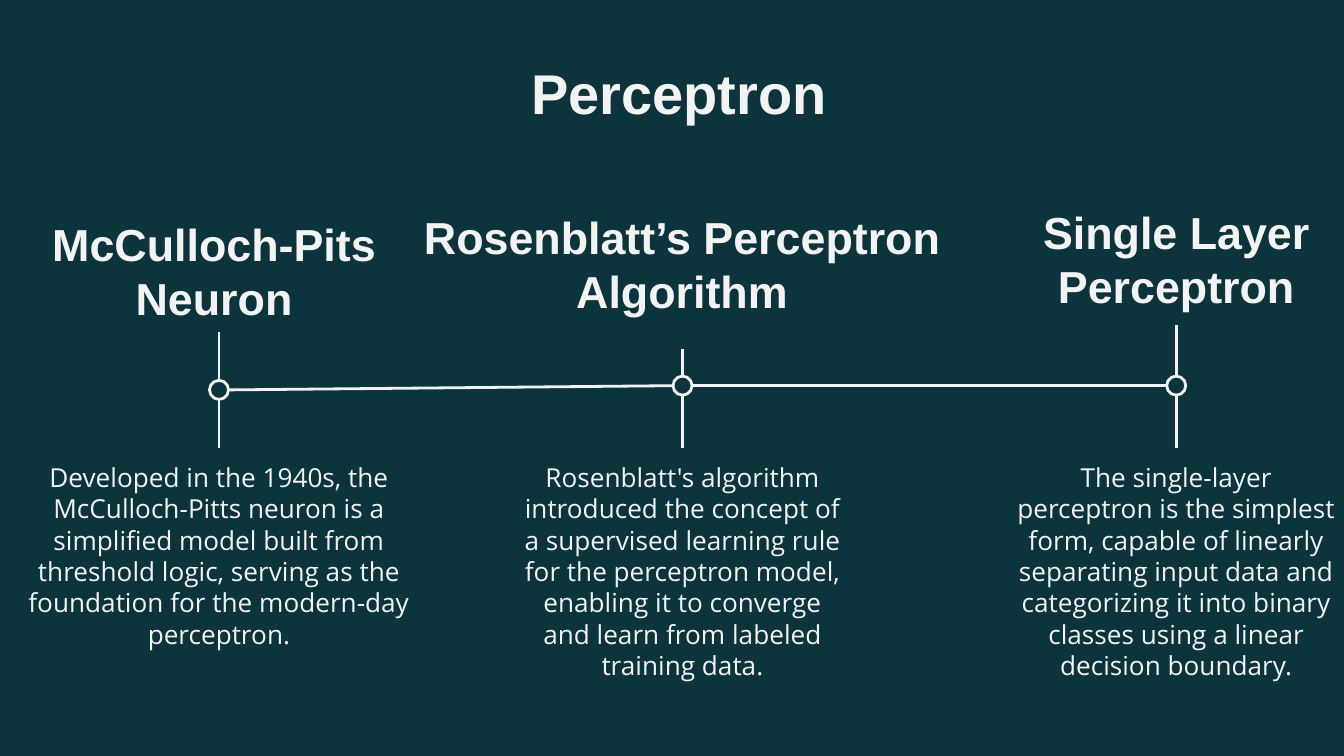
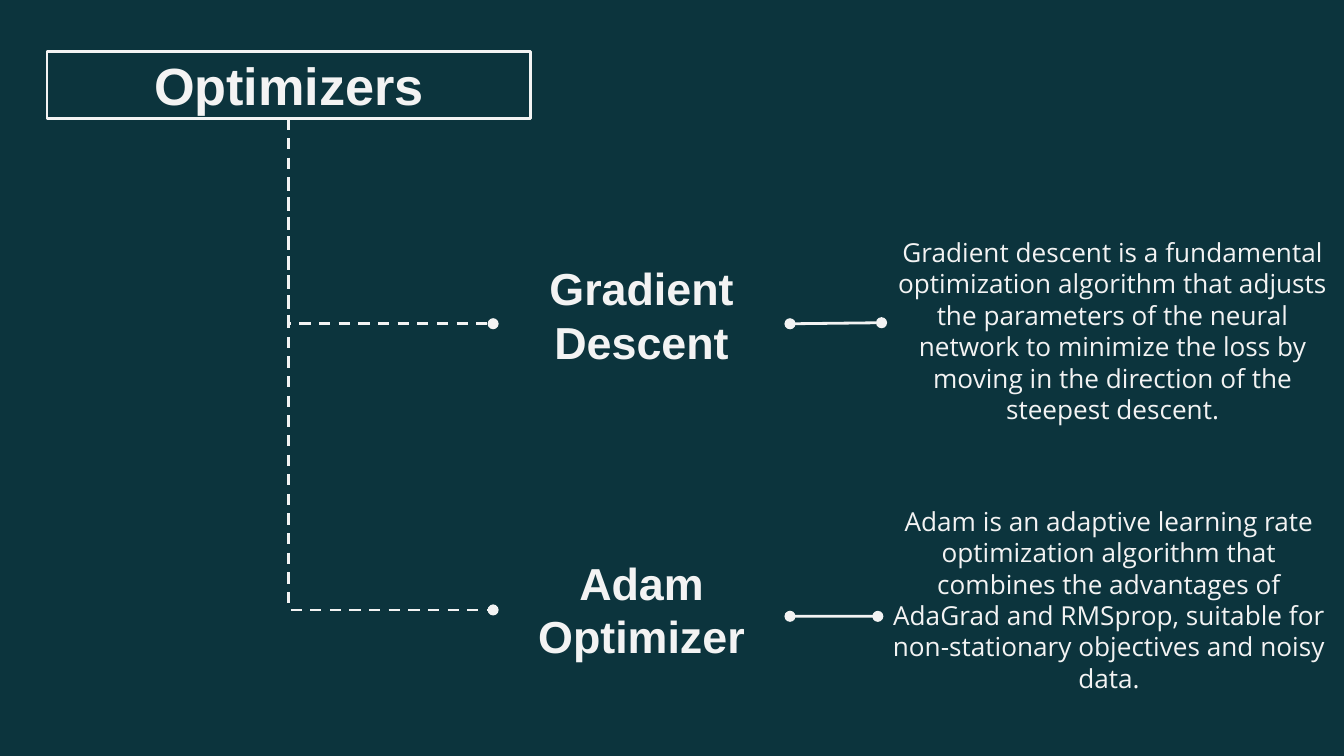
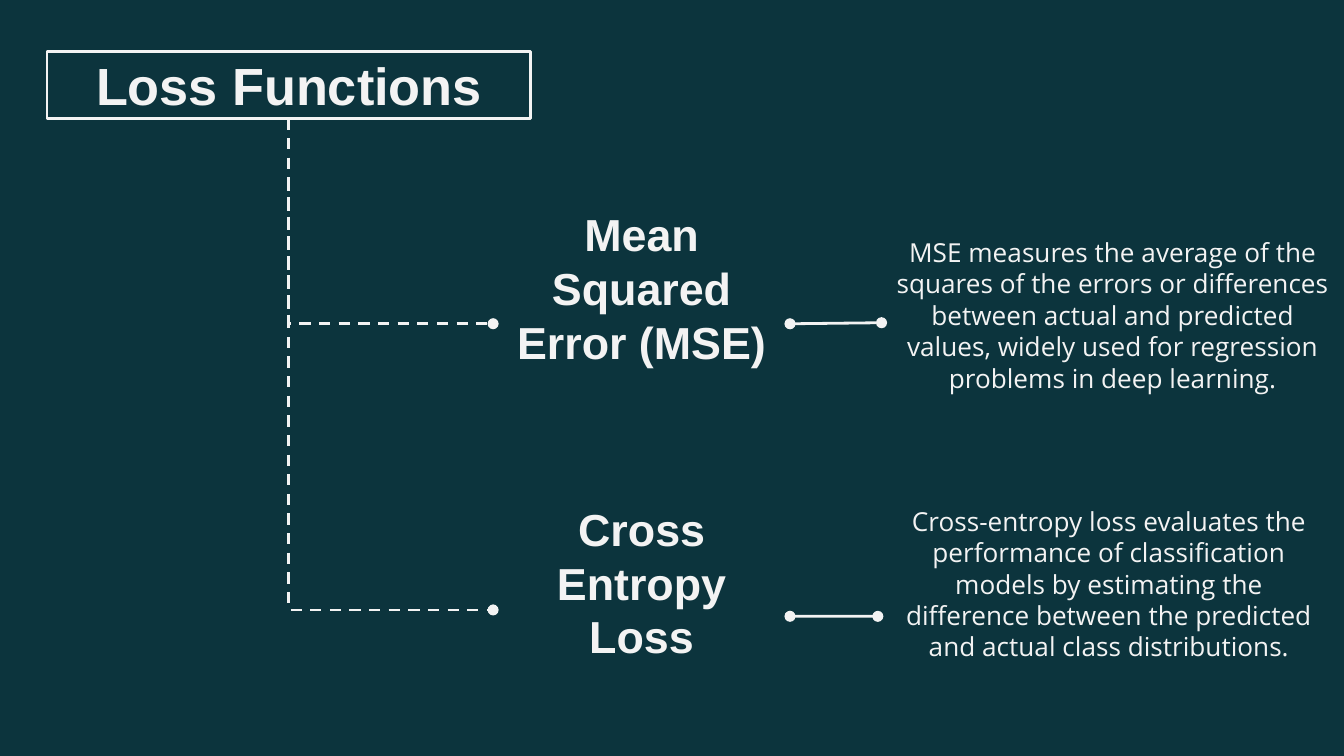
from pptx import Presentation
from pptx.dml.color import RGBColor
from pptx.enum.dml import MSO_LINE
from pptx.enum.shapes import MSO_CONNECTOR, MSO_SHAPE
from pptx.enum.text import MSO_ANCHOR, MSO_AUTO_SIZE, PP_ALIGN
from pptx.oxml.ns import qn
from pptx.util import Cm, Pt
from lxml import etree

STRAIGHT, ELBOW = MSO_CONNECTOR.STRAIGHT, MSO_CONNECTOR.ELBOW
OVAL = MSO_SHAPE.OVAL
TOP, MIDDLE, BOTTOM = MSO_ANCHOR.TOP, MSO_ANCHOR.MIDDLE, MSO_ANCHOR.BOTTOM
CENTER = PP_ALIGN.CENTER
DASH = MSO_LINE.DASH
NO_AUTOFIT = MSO_AUTO_SIZE.NONE
TOP_SIDE, LEFT_SIDE, BOTTOM_SIDE, RIGHT_SIDE = range(4)

COLORS = {"background": "0C343D", "light": "F3F3F3"}
HEADING_FONT, BODY_FONT = "Arial", "Open Sans"
LINE_WIDTH = 1.5
LINE_SPACING = 1.2
INSET = 0.25
TITLE_ONLY_LAYOUT = 5

# Timeline
NODE_SIZE = 0.36
DESCRIPTION_TOP = 8.47
STATIONS = [
    {
        "x": 4.14, "y": 7.37, "stem_top": 6.27,
        "label": "McCulloch-Pits Neuron",
        "label_area": (-0.69, 5.11, 9.47, 1.27),
        "description": "Developed in the 1940s, the McCulloch-Pitts neuron is a simplified "
                       "model built from threshold logic, serving as the foundation for the "
                       "modern-day perceptron.",
        "description_size": (8.64, 4.17),
    },
    {
        "x": 12.9, "y": 7.29, "stem_top": 6.6,
        "label": "Rosenblatt’s Perceptron Algorithm",
        "label_area": (7.62, 3.94, 10.54, 2.31),
        "description": "Rosenblatt's algorithm introduced the concept of a supervised "
                       "learning rule for the perceptron model, enabling it to converge and "
                       "learn from labeled training data.",
        "description_size": (6.48, 7.29),
    },
    {
        "x": 22.23, "y": 7.29, "stem_top": None,
        "label": "Single Layer Perceptron",
        "label_area": (18.14, 4.55, 8.18, 1.6),
        "description": "The single-layer perceptron is the simplest form, capable of linearly "
                       "separating input data and categorizing it into binary classes using "
                       "a linear decision boundary.",
        "description_size": (6.71, 6.58),
    },
]

# Trees
ROOT_AREA = (0.89, 0.97, 9.14, 1.27)
ROOT_X = ROOT_AREA[0] + ROOT_AREA[2] / 2
ROOT_BOTTOM = ROOT_AREA[1] + ROOT_AREA[3]
BRANCHES = [
    {"start_y": ROOT_BOTTOM, "end_y": 6.12, "label_area": (9.32, 5.03, 5.61, 2.18),
     "description_area": (16.66, 4.22, 8.74, 4.72), "link_end_y": 6.1},
    {"start_y": 3.4, "end_y": 11.53, "label_area": (9.32, 10.52, 5.61, 2.26),
     "description_area": (16.59, 9.3, 8.74, 4.7), "link_end_y": None},
]
OPTIMIZERS = [
    ("Gradient Descent",
     "Gradient descent is a fundamental optimization algorithm that adjusts the parameters of "
     "the neural network to minimize the loss by moving in the direction of the steepest "
     "descent."),
    ("Adam Optimizer",
     "Adam is an adaptive learning rate optimization algorithm that combines the advantages of "
     "AdaGrad and RMSprop, suitable for non-stationary objectives and noisy data."),
]
LOSS_FUNCTIONS = [
    ("Mean Squared Error (MSE)",
     "MSE measures the average of the squares of the errors or differences between actual and "
     "predicted values, widely used for regression problems in deep learning."),
    ("Cross Entropy Loss",
     "Cross-entropy loss evaluates the performance of classification models by estimating the "
     "difference between the predicted and actual class distributions."),
]


def color(name):
    return RGBColor.from_string(COLORS[name])


def write_text(box, text, *, size, font=HEADING_FONT, bold=True, anchor=TOP):
    frame = box.text_frame
    frame.word_wrap = True
    frame.auto_size = NO_AUTOFIT
    frame.vertical_anchor = anchor
    frame.margin_left = frame.margin_right = Cm(INSET)
    frame.margin_top = frame.margin_bottom = Cm(INSET)
    para = frame.paragraphs[0]
    para.alignment = CENTER
    para.line_spacing = Pt(size * LINE_SPACING)
    span = para.add_run()
    span.text = text
    span.font.size = Pt(size)
    span.font.name = font
    span.font.bold = bold
    span.font.color.rgb = color("light")


def draw_outline(item):
    item.line.color.rgb = color("light")
    item.line.width = Pt(LINE_WIDTH)


def add_title_slide(deck, title, area, *, size, anchor=TOP):
    """Add a slide with a placed title; return the slide and its title box."""
    page = deck.slides.add_slide(deck.slide_layouts[TITLE_ONLY_LAYOUT])
    box = page.shapes.title
    box.left, box.top, box.width, box.height = map(Cm, area)
    write_text(box, title, size=size, anchor=anchor)
    return page, box


def add_label(shapes, text, area):
    box = shapes.add_textbox(*map(Cm, area))
    write_text(box, text, size=24, anchor=BOTTOM)
    return box


def add_description(shapes, text, area):
    box = shapes.add_textbox(*map(Cm, area))
    write_text(box, text, size=14, font=BODY_FONT, bold=False)
    return box


def finish_connector(connector, *, dash=None, ends=()):
    """Style a connector; ends holds headEnd and tailEnd where a dot is wanted."""
    draw_outline(connector)
    if dash:
        connector.line.dash_style = dash
    properties = connector._element.spPr
    outline = properties.find(qn("a:ln"))
    for end in ends:
        etree.SubElement(outline, qn(f"a:{end}"), type="oval")
    etree.SubElement(properties, qn("a:effectLst"))


def add_line(page, start, end, ends=()):
    connector = page.shapes.add_connector(STRAIGHT, *map(Cm, start + end))
    finish_connector(connector, ends=ends)
    return connector


def add_branch(page, start, end):
    """Draw a dashed elbow that runs down, then right to a dot."""
    run, drop = end[0] - start[0], end[1] - start[1]
    left = (start[0] + end[0] - drop) / 2
    top = (start[1] + end[1] - run) / 2
    connector = page.shapes.add_connector(
        ELBOW, *map(Cm, (left, top, left + drop, top + run)))
    properties = connector._element.spPr
    frame = properties.find(qn("a:xfrm"))
    frame.set("rot", "16200000")
    frame.set("flipH", "1")
    properties.find(qn("a:prstGeom")).set("prst", "bentConnector2")
    finish_connector(connector, dash=DASH, ends=("tailEnd",))


def add_node(page, x, y):
    radius = NODE_SIZE / 2
    node = page.shapes.add_shape(
        OVAL, *map(Cm, (x - radius, y - radius, NODE_SIZE, NODE_SIZE)))
    node.shadow.inherit = False
    node.fill.background()
    draw_outline(node)


def add_station(page, station):
    x, y = station["x"], station["y"]
    width, height = station["description_size"]
    radius = NODE_SIZE / 2
    add_node(page, x, y)
    group = page.shapes.add_group_shape()
    description = add_description(group.shapes, station["description"],
                                  (x - width / 2, DESCRIPTION_TOP, width, height))
    label = add_label(group.shapes, station["label"], station["label_area"])

    lower_stem = add_line(page, (x, y + radius), (x, DESCRIPTION_TOP))
    lower_stem.end_connect(description, TOP_SIDE)
    stem_top = station["stem_top"]
    upper_stem = add_line(page, (x, y - radius), (x, stem_top or y))
    if stem_top is None:
        upper_stem.end_connect(label, BOTTOM_SIDE)


def add_timeline_slide(deck):
    page, _ = add_title_slide(deck, "Perceptron", (2.13, 0.86, 21.41, 1.6), size=30)
    for station in STATIONS:
        add_station(page, station)
    radius = NODE_SIZE / 2
    for before, after in zip(STATIONS, STATIONS[1:]):
        add_line(page, (before["x"] + radius, before["y"]),
                 (after["x"] - radius, after["y"]))


def add_tree_slide(deck, title, topics):
    page, root = add_title_slide(deck, title, ROOT_AREA, size=28, anchor=MIDDLE)
    draw_outline(root)
    for branch, (name, explanation) in zip(BRANCHES, topics):
        label_left = branch["label_area"][0]
        description_left = branch["description_area"][0]
        add_branch(page, (ROOT_X, branch["start_y"]), (label_left, branch["end_y"]))
        label = add_label(page.shapes, name, branch["label_area"])
        description = add_description(page.shapes, explanation, branch["description_area"])

        link_end_y = branch["link_end_y"]
        link = add_line(page, (label_left, branch["end_y"]),
                        (description_left, link_end_y or branch["end_y"]),
                        ends=("headEnd", "tailEnd"))
        link.begin_connect(label, RIGHT_SIDE)
        if link_end_y is None:
            link.end_connect(description, LEFT_SIDE)


def main():
    deck = Presentation()
    deck.slide_width, deck.slide_height = Cm(25.4), Cm(14.29)
    background = deck.slide_master.background.fill
    background.solid()
    background.fore_color.rgb = color("background")
    add_timeline_slide(deck)
    add_tree_slide(deck, "Optimizers", OPTIMIZERS)
    add_tree_slide(deck, "Loss Functions", LOSS_FUNCTIONS)
    deck.save("out.pptx")


if __name__ == "__main__":
    main()
